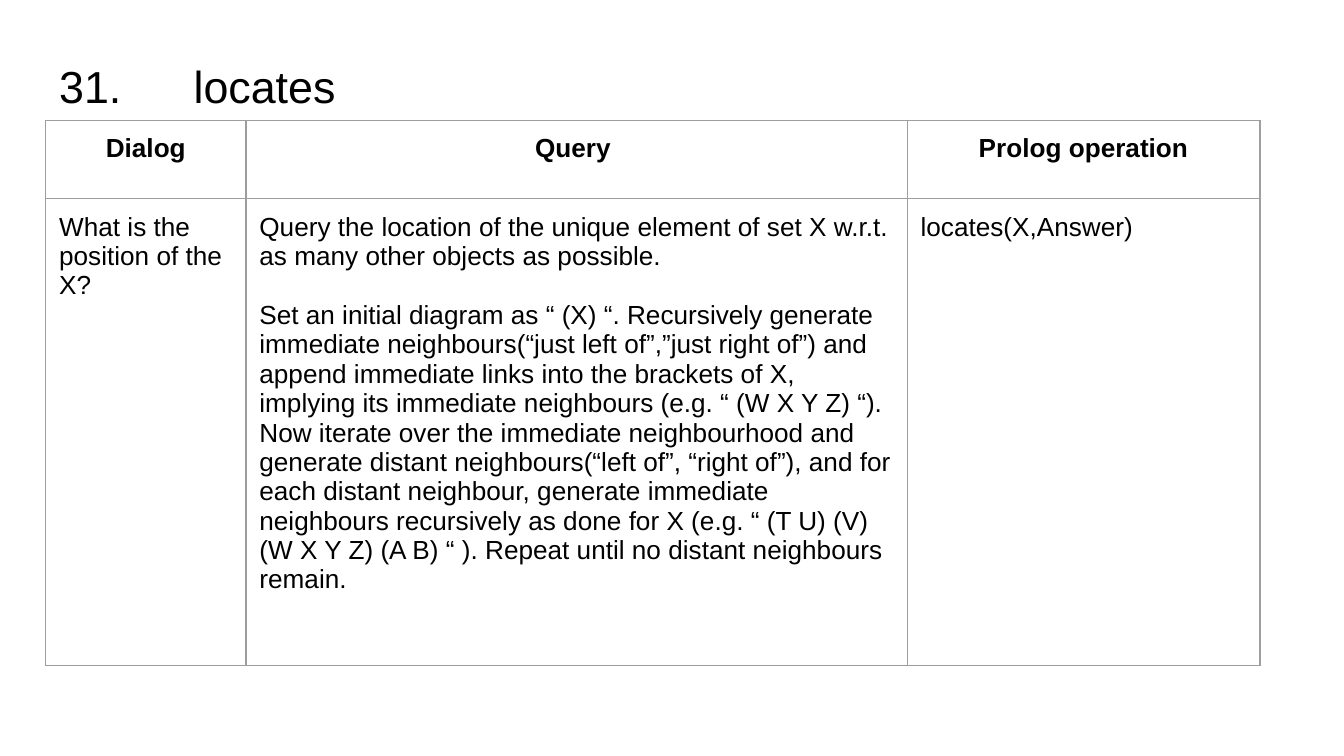
from lxml.etree import SubElement
from pptx import Presentation
from pptx.dml.color import RGBColor
from pptx.enum.text import MSO_ANCHOR, MSO_AUTO_SIZE, PP_ALIGN
from pptx.oxml.ns import qn
from pptx.util import Pt

PX = 4572  # 200 px to the inch

HEADERS = ["Dialog", "Query ", "Prolog operation"]
ANSWERS = [
    ["What is the position of the X?"],
    [
        "Query the location of the unique element of set X w.r.t. as many "
        "other objects as possible.",
        "Set an initial diagram as “ (X) “. Recursively generate immediate "
        "neighbours(“just left of”,”just right of”) and append immediate links "
        "into the brackets of X, implying its immediate neighbours "
        "(e.g. “ (W X Y Z) “).",
        "Now iterate over the immediate neighbourhood and generate distant "
        "neighbours(“left of”, “right of”), and for each distant neighbour, "
        "generate immediate neighbours recursively as done for X "
        "(e.g. “ (T U) (V) (W X Y Z) (A B) “ ). Repeat until no distant "
        "neighbours remain.",
    ],
    ["locates(X,Answer)"],
]


def px(n):
    return n * PX


def color(value):
    return RGBColor.from_string(value)


class SlideBuilder:
    font, ink, rule = "Arial", "000000", "9E9E9E"
    title_size, body_size = 24, 14
    inset, tab = 20, 200

    def __init__(self, prs):
        self.s = prs.slides.add_slide(prs.slide_layouts[5])

    def style(self, p, size, bold=False, align=PP_ALIGN.LEFT):
        p.alignment = align
        for r in p.runs:
            r.font.name, r.font.size, r.font.bold = self.font, Pt(size), bold
            r.font.color.rgb = color(self.ink)

    def pad(self, box):
        """Give a text frame or a table cell the same inset on all sides."""
        box.margin_left = box.margin_right = px(self.inset)
        box.margin_top = box.margin_bottom = px(self.inset)

    def title(self, text, left, top, width, height):
        sp = self.s.shapes.title
        sp.left, sp.top, sp.width, sp.height = map(px, (left, top, width, height))
        tf = sp.text_frame
        tf.text = text
        tf.auto_size = MSO_AUTO_SIZE.NONE
        tf.vertical_anchor = MSO_ANCHOR.MIDDLE
        self.pad(tf)
        p = tf.paragraphs[0]
        tabs = SubElement(p._p.get_or_add_pPr(), qn("a:tabLst"))
        SubElement(tabs, qn("a:tab"), pos=str(px(self.tab)), algn="l")
        self.style(p, self.title_size)

    def borders(self, cell):
        tc_pr = cell._tc.get_or_add_tcPr()
        for i, side in enumerate(("lnL", "lnR", "lnT", "lnB")):
            ln = tc_pr.makeelement(qn(f"a:{side}"), {"w": str(Pt(0.75))})
            fill = SubElement(ln, qn("a:solidFill"))
            SubElement(fill, qn("a:srgbClr"), val=self.rule)
            tc_pr.insert(i, ln)

    def cell(self, cell, paragraphs, **style):
        cell.fill.background()
        self.pad(cell)
        self.borders(cell)
        cell.text_frame.text = "\n".join(paragraphs)
        for p in cell.text_frame.paragraphs:
            self.style(p, self.body_size, **style)

    def table(self, left, top, widths, heights, headers, answers):
        frame = self.s.shapes.add_table(
            len(heights), len(widths), px(left), px(top),
            px(sum(widths)), px(sum(heights)))
        table = frame.table
        table.first_row = table.horz_banding = False
        for row, height in zip(table.rows, heights):
            row.height = px(height)
        for i, width in enumerate(widths):
            table.columns[i].width = px(width)
            self.cell(table.cell(0, i), [headers[i]],
                      bold=True, align=PP_ALIGN.CENTER)
            self.cell(table.cell(1, i), answers[i])
        return table


def main():
    prs = Presentation()
    prs.slide_width, prs.slide_height = px(2000), px(1125)
    slide = SlideBuilder(prs)
    table = slide.table(68, 179, [298, 984, 525], [117, 694], HEADERS, ANSWERS)
    table.cell(1, 1).text_frame.paragraphs[1].space_before = Pt(16)
    slide.title("31.\tlocates", 68, 64, 1864, 126)
    prs.save("out.pptx")


if __name__ == "__main__":
    main()
